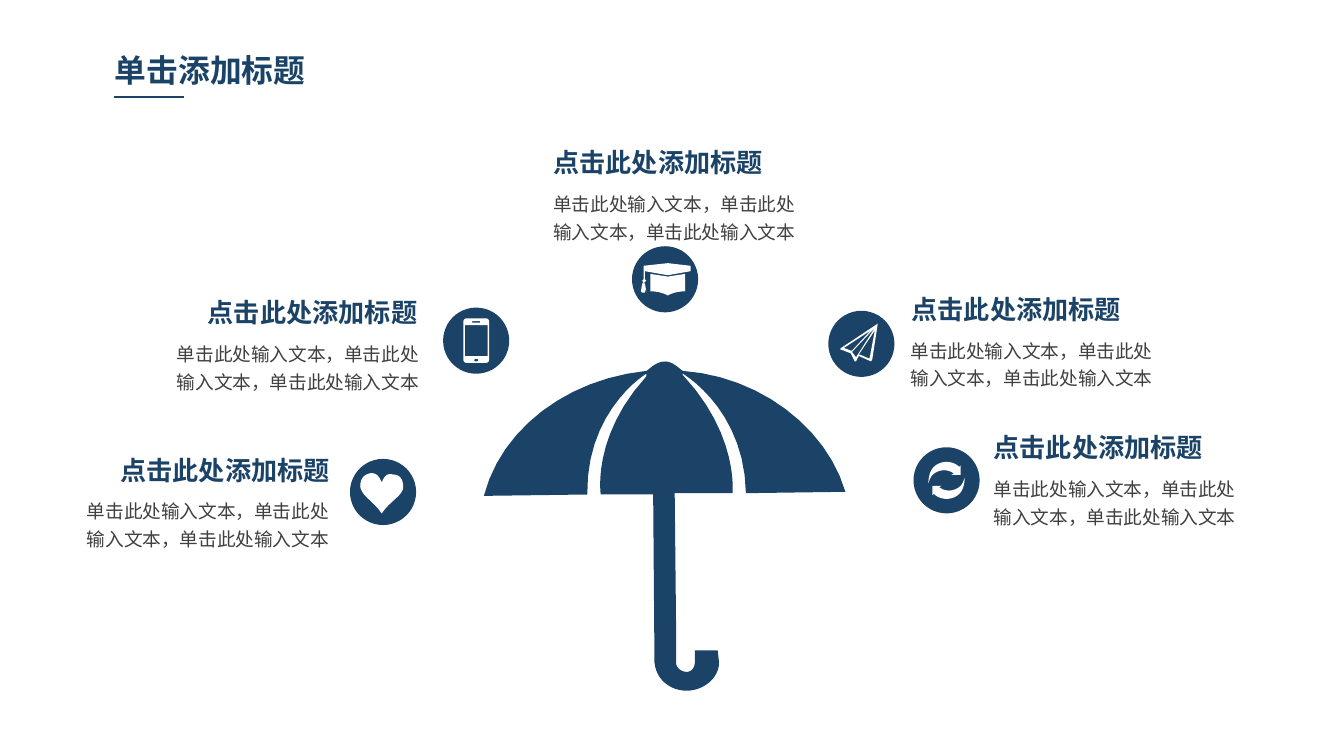
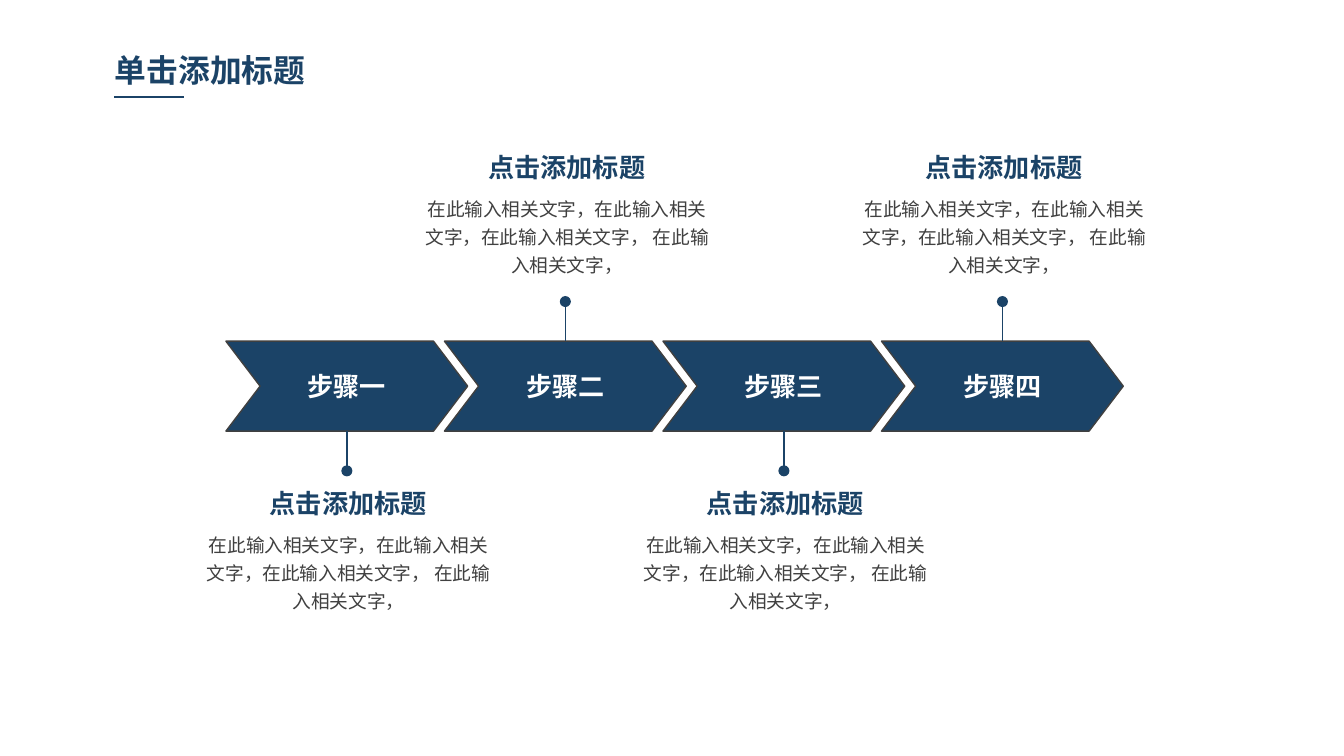
from lxml.etree import SubElement
from pptx import Presentation
from pptx.dml.color import RGBColor
from pptx.enum.lang import MSO_LANGUAGE_ID
from pptx.enum.shapes import MSO_CONNECTOR, MSO_SHAPE
from pptx.enum.text import MSO_ANCHOR, MSO_AUTO_SIZE, PP_ALIGN
from pptx.oxml.ns import qn
from pptx.util import Cm, Pt

# ---------- Shared style ----------
COLORS = {"navy": "1B4367", "gray": "404040", "white": "FFFFFF"}
FONT = "Noto Sans CJK SC"
LEFT, CENTER, RIGHT = PP_ALIGN.LEFT, PP_ALIGN.CENTER, PP_ALIGN.RIGHT
HEADING_HEIGHT = 0.79
BODY_OFFSET = 0.77
UNIT = 2.54 / 100  # centimetres per step of the outline grid

# ---------- Content ----------
TITLE = "单击添加标题"
TOPIC_HEADING = "点击此处添加标题"
TOPIC_BODY = "单击此处输入文本，单击此处输入文本，单击此处输入文本"
STEP_HEADING = "点击添加标题"
STEP_BODY = "在此输入相关文字，在此输入相关文字，在此输入相关文字， 在此输入相关文字，"
STEPS = ["步骤一", "步骤二", "步骤三", "步骤四"]

# Left of heading, left of body, top, heading and body alignment,
# icon name, centre of the icon disc (cm)
TOPICS = [
    (3.71, 3.00, 5.51, RIGHT, RIGHT, "phone", (9.00, 6.44)),
    (2.06, 1.30, 8.48, RIGHT, RIGHT, "heart", (7.24, 9.30)),
    (10.24, 10.19, 2.67, RIGHT, CENTER, "cap", (12.57, 5.28)),
    (17.04, 17.02, 5.44, LEFT, LEFT, "plane", (16.28, 6.50)),
    (18.59, 18.59, 8.05, LEFT, LEFT, "refresh", (17.89, 9.08)),
]

# ---------- Outlines ----------
# Each contour is a list of points on the grid: two numbers draw a straight
# line, six numbers a Bezier curve (two control points and the end point).
UMBRELLA = [[
    (555, 367), (629, 366),
    (615, 318, 565, 280, 508, 276), (504, 273, 500, 269, 495, 269),
    (489, 269, 485, 273, 481, 276), (422, 282, 373, 319, 360, 369),
    (437, 368), (436, 311, 473, 283, 481, 278), (481, 280),
    (440, 325, 447, 368, 447, 368), (486, 368), (487, 493),
    (488, 505, 498, 514, 511, 514), (523, 514, 535, 505, 535, 493),
    (534, 484), (517, 484), (517, 493),
    (517, 496, 515, 500, 511, 500), (507, 500, 503, 497, 503, 493),
    (503, 462), (502, 367), (545, 367),
    (545, 367, 550, 324, 508, 279), (508, 278),
    (516, 283, 554, 310, 555, 367),
]]
ARROW = [
    (9.5, -10), (4.5, -15, -4.5, -15, -9.5, -10),
    (-12.5, -7, -13.5, -2, -13.5, 2), (-12.5, -1, -11.5, -3, -10.5, -4),
    (-6.5, -8, 0.5, -9, 5.5, -5), (3.5, -4), (10.5, -4), (10.5, -11),
]
ICONS = {
    "heart": [[
        (-1, -7), (-3, -12, -5, -14, -9, -14), (-15, -13, -17, -9, -17, -4),
        (-16, 3, -7, 7, -1, 16), (5, 7, 14, 3, 15, -3),
        (15, -9, 13, -13, 7, -13), (3, -14, 1, -12, -1, -7),
    ]],
    "phone": [
        [(7.5, -16.5), (-7.5, -16.5),
         (-8.5, -16.5, -9.5, -15.5, -9.5, -14.5), (-9.5, 14.5),
         (-9.5, 15.5, -8.5, 16.5, -7.5, 16.5), (7.5, 16.5),
         (8.5, 16.5, 9.5, 15.5, 9.5, 14.5), (9.5, -14.5),
         (9.5, -15.5, 8.5, -16.5, 7.5, -16.5)],
        [(-3, -14.5), (3, -14.5), (3, -13.5), (-3, -13.5)],
        [(0, 15.5), (-2, 15.5, -2, 13.5, 0, 13.5),
         (2, 13.5, 2, 15.5, 0, 15.5)],
        [(-8.5, -11.5), (8.5, -11.5), (8.5, 11.5), (-8.5, 11.5)],
    ],
    "cap": [
        [(19, -10), (2, -12), (-16, -10), (-16, 0), (-17, 1), (-16, 3),
         (-14, 1), (-15, 0), (-15, -6), (2, -3), (19, -6)],
        [(-15, 3), (-17, 3), (-18, 9), (-17, 10), (-15, 10), (-15, 7),
         (-14, 10), (-14, 9)],
        [(-11, 9), (-11, -4), (2, -2), (15, -4), (15, 9),
         (10, 9, 6, 10, 2, 12), (-2, 10, -6, 9, -11, 9)],
    ],
    "plane": [
        [(12, -15), (-15, 3), (-16, 4), (-8, 7), (-5, 13), (-4, 13),
         (-2, 9), (7, 13), (8, 12), (12, -14)],
        [(-13, 3), (7, -10), (-7, 5), (-8, 5)],
        [(-7, 6), (10, -12), (-4, 10)],
        [(6, 11), (-1, 8), (-2, 8), (10, -10)],
    ],
    "refresh": [ARROW, [tuple(-value for value in point) for point in ARROW]],
}


def rgb(name):
    """Return the named colour of the palette."""
    return RGBColor.from_string(COLORS[name])


def write_text(shape, text, size=10, color="gray", bold=False, align=LEFT,
               spacing=None, wrap=True, grow=True, anchor=MSO_ANCHOR.TOP):
    """Put formatted text into a shape."""
    frame = shape.text_frame
    frame.text = text
    frame.word_wrap = wrap
    frame.auto_size = (MSO_AUTO_SIZE.SHAPE_TO_FIT_TEXT if grow
                       else MSO_AUTO_SIZE.NONE)
    frame.vertical_anchor = anchor
    frame.margin_left = frame.margin_right = Cm(0.19)
    frame.margin_top = frame.margin_bottom = Cm(0.1)
    paragraph = frame.paragraphs[0]
    paragraph.alignment = align
    if spacing:
        paragraph.line_spacing = Pt(spacing)
    font = paragraph.runs[0].font
    font.size, font.bold, font.name = Pt(size), bold, FONT
    font.color.rgb = rgb(color)
    font.language_id = MSO_LANGUAGE_ID.SIMPLIFIED_CHINESE
    properties = paragraph.runs[0]._r.get_or_add_rPr()
    SubElement(properties, qn("a:ea")).set("typeface", FONT)


def add_text(slide, text, left, top, width, height, **text_format):
    """Add a text box."""
    box = slide.shapes.add_textbox(Cm(left), Cm(top), Cm(width), Cm(height))
    write_text(box, text, **text_format)


def add_caption(slide, heading, body, top, heading_box, body_box,
                heading_align, body_align):
    """Add a heading with body text below; boxes are (left, width[, height])."""
    left, width = heading_box
    add_text(slide, heading, left, top, width, HEADING_HEIGHT, size=14,
             color="navy", bold=True, align=heading_align, wrap=False)
    left, width, height = body_box
    add_text(slide, body, left, top + BODY_OFFSET, width, height,
             align=body_align, spacing=15)


def add_line(slide, start, end, oval_end=False):
    """Add a thin navy line, with a dot at its end if asked."""
    connector = slide.shapes.add_connector(
        MSO_CONNECTOR.STRAIGHT, *(Cm(value) for value in start + end))
    connector.line.color.rgb = rgb("navy")
    connector.line.width = Pt(0.75)
    if oval_end:
        line = connector.line._get_or_add_ln()
        SubElement(line, qn("a:tailEnd")).set("type", "oval")
    SubElement(connector._element.spPr, qn("a:effectLst"))


def paint(shape, fill, line=None):
    """Give a shape a flat fill and an optional thin outline."""
    shape.shadow.inherit = False
    shape.fill.solid()
    shape.fill.fore_color.rgb = rgb(fill)
    if line:
        shape.line.color.rgb = rgb(line)
        shape.line.width = Pt(0.75)
    else:
        shape.line.fill.background()


def flatten(contour, steps=12):
    """Turn lines and Bezier curves into a list of points."""
    points = [contour[0]]
    for segment in contour[1:]:
        if len(segment) == 2:
            points.append(segment)
            continue
        start = points[-1]
        first, second, end = segment[:2], segment[2:4], segment[4:]
        for step in range(1, steps + 1):
            t = step / steps
            u = 1 - t
            points.append(tuple(
                u**3 * a + 3 * u * u * t * b + 3 * u * t * t * c + t**3 * d
                for a, b, c, d in zip(start, first, second, end)))
    return points


def add_outline(slide, contours, fill, origin=(0, 0)):
    """Draw contours as one filled freeform around an origin in cm."""
    builder = None
    for contour in contours:
        points = [(Cm(origin[0] + x * UNIT), Cm(origin[1] + y * UNIT))
                  for x, y in flatten(contour)]
        if builder is None:
            builder = slide.shapes.build_freeform(*points[0])
        else:
            builder.move_to(*points[0])
        builder.add_line_segments(points[1:], close=True)
    paint(builder.convert_to_shape(), fill)


def add_icon(slide, name, center, diameter=1.25):
    """Draw a white icon on a navy disc."""
    x, y = center
    disc = slide.shapes.add_shape(
        MSO_SHAPE.OVAL, Cm(x - diameter / 2), Cm(y - diameter / 2),
        Cm(diameter), Cm(diameter))
    paint(disc, "navy")
    add_outline(slide, ICONS[name], "white", center)


def add_titled_slide(presentation):
    """Add a slide with the shared title and underline."""
    slide = presentation.slides.add_slide(presentation.slide_layouts[5])
    title = slide.shapes.title
    title.left, title.top = Cm(1.98), Cm(0.86)
    title.width, title.height = Cm(6.27), Cm(0.91)
    write_text(title, TITLE, size=17, color="navy", bold=True)
    add_line(slide, (2.16, 1.83), (3.48, 1.83))
    return slide


def build_umbrella_slide(presentation):
    """Build the umbrella with five topics around it."""
    slide = add_titled_slide(presentation)
    add_outline(slide, UMBRELLA, "navy")
    for (heading_left, body_left, top, heading_align, body_align,
         icon, center) in TOPICS:
        add_icon(slide, icon, center)
        add_caption(slide, TOPIC_HEADING, TOPIC_BODY, top,
                    (heading_left, 4.37), (body_left, 5.1, 1.27),
                    heading_align, body_align)


def build_steps_slide(presentation):
    """Build the chevron row with captions alternately below and above."""
    slide = add_titled_slide(presentation)
    left, top, width, height, pitch = 4.27, 6.45, 4.57, 1.7, 4.13
    stem = 0.75
    heading_width, body_width = 3.38, 5.77
    for index, step in enumerate(STEPS):
        x = left + index * pitch
        middle = x + width / 2
        chevron = slide.shapes.add_shape(
            MSO_SHAPE.CHEVRON, Cm(x), Cm(top), Cm(width), Cm(height))
        chevron.adjustments[0] = 0.38
        paint(chevron, "navy", "gray")
        write_text(chevron, step, size=14, color="white", bold=True,
                   align=CENTER, grow=False, anchor=MSO_ANCHOR.MIDDLE)
        if index % 2 == 0:
            start, end, caption_top = top + height, top + height + stem, 9.12
        else:
            start, end, caption_top = top, top - stem, 2.77
        add_line(slide, (middle, start), (middle, end), oval_end=True)
        text_middle = middle + 0.03
        add_caption(slide, STEP_HEADING, STEP_BODY, caption_top,
                    (text_middle - heading_width / 2, heading_width),
                    (text_middle - body_width / 2, body_width, 1.8),
                    CENTER, CENTER)


presentation = Presentation()
presentation.slide_width, presentation.slide_height = Cm(25.4), Cm(14.29)
build_umbrella_slide(presentation)
build_steps_slide(presentation)
presentation.save("out.pptx")
